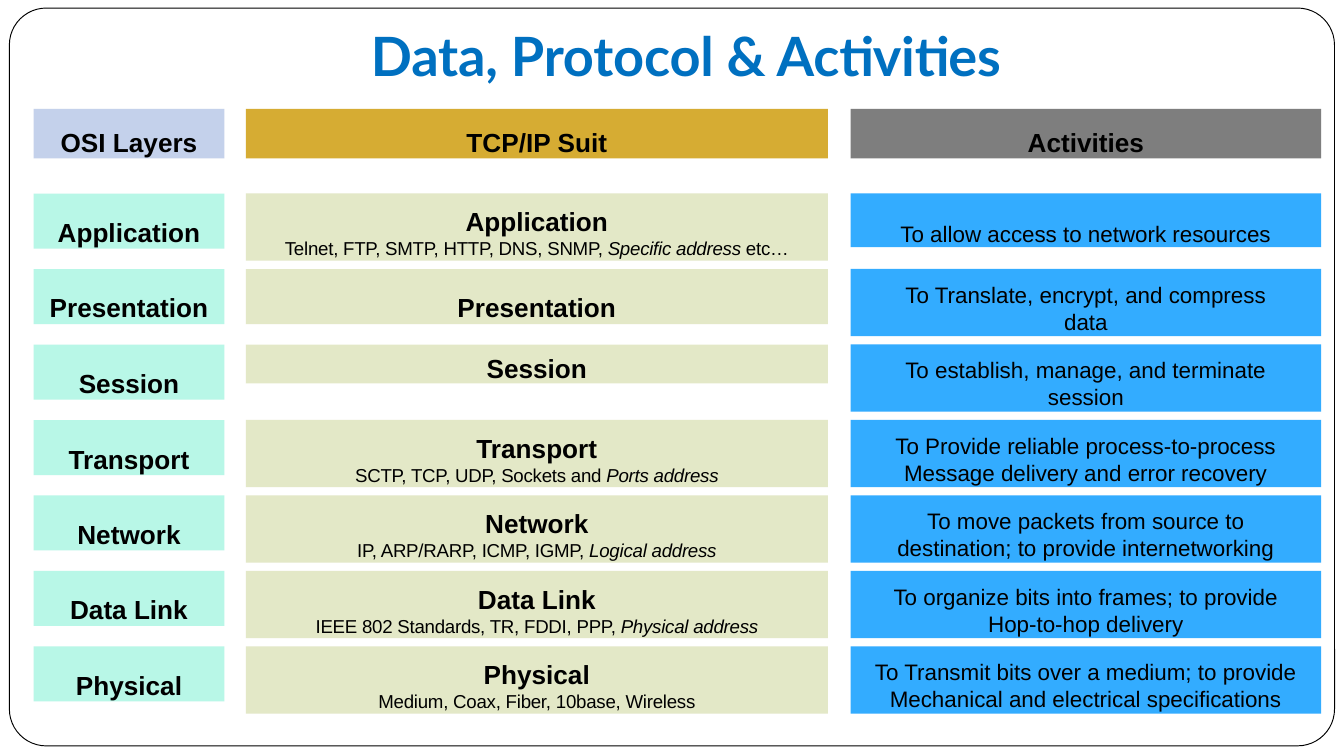
from dataclasses import dataclass

from lxml import etree
from pptx import Presentation
from pptx.dml.color import RGBColor
from pptx.enum.shapes import MSO_SHAPE
from pptx.enum.text import MSO_ANCHOR, MSO_AUTO_SIZE, PP_ALIGN
from pptx.oxml.ns import qn
from pptx.util import Inches, Pt

RECTANGLE = MSO_SHAPE.RECTANGLE
ROUNDED_RECTANGLE = MSO_SHAPE.ROUNDED_RECTANGLE
TOP = MSO_ANCHOR.TOP
BOTTOM = MSO_ANCHOR.BOTTOM
LEFT = PP_ALIGN.LEFT
CENTER = PP_ALIGN.CENTER
NO_AUTOFIT = MSO_AUTO_SIZE.NONE


@dataclass(frozen=True)
class Theme:
    title: str = "0070C0"
    text: str = "000000"
    osi_header: str = "B6C6E6"
    suite_header: str = "CC9800"
    activity_header: str = "5E5E5E"
    osi: str = "A7F5E2"
    suite: str = "DDE3B9"
    activity: str = "0098FF"
    opacity: int = 80
    title_font: str = "Lato"
    body_font: str = "Arial"
    title_size: float = 29
    name_size: float = 14
    activity_size: float = 12
    detail_size: float = 10


theme = Theme()


def add_box(column, top, height, color, inset_top, side_inset=0):
    left, width = column
    shape = slide.shapes.add_shape(
        RECTANGLE, Inches(left), Inches(top), Inches(width), Inches(height)
    )
    shape.shadow.inherit = False
    shape.line.fill.background()
    shape.fill.solid()
    shape.fill.fore_color.rgb = RGBColor.from_string(color)
    color_element = shape.fill._xPr.find(f".//{qn('a:srgbClr')}")
    etree.SubElement(color_element, qn("a:alpha")).set("val", str(theme.opacity * 1000))
    text_frame = shape.text_frame
    text_frame.word_wrap = True
    text_frame.vertical_anchor = TOP
    text_frame.margin_top = Inches(inset_top)
    text_frame.margin_bottom = 0
    text_frame.margin_left = text_frame.margin_right = Inches(side_inset)
    return text_frame


def write_runs(paragraph, texts, size, bold=False, spacing=0):
    paragraph.alignment = CENTER
    for index, text in enumerate(texts):
        run = paragraph.add_run()
        run.text = text
        run.font.name = theme.body_font
        run.font.size = Pt(size)
        run.font.bold = bold
        run.font.italic = index == 1
        run.font.color.rgb = RGBColor.from_string(theme.text)
        run.font._element.set("spc", str(spacing))


presentation = Presentation()
presentation.slide_width = Inches(10)
presentation.slide_height = presentation.slide_width * 9 // 16
slide = presentation.slides.add_slide(presentation.slide_layouts[5])

frame = slide.shapes.add_shape(
    ROUNDED_RECTANGLE, Inches(0.07), Inches(0.06), Inches(9.86), Inches(5.49)
)
frame.adjustments[0] = 0.05
frame.shadow.inherit = False
frame.fill.background()
frame.line.color.rgb = RGBColor.from_string(theme.text)
frame.line.width = Pt(0.5)

title = slide.shapes.title
title.left, title.top = Inches(2.75), Inches(0.15)
title.width, title.height = Inches(5.25), Inches(0.5)
title_frame = title.text_frame
title_frame.text = "Data, Protocol & Activities"
title_frame.auto_size = NO_AUTOFIT
title_frame.vertical_anchor = BOTTOM
title_frame.margin_left = title_frame.margin_top = Inches(0.01)
title_frame.margin_right = title_frame.margin_bottom = 0
title_paragraph = title_frame.paragraphs[0]
title_paragraph.alignment = LEFT
title_run = title_paragraph.runs[0]
title_run.font.name = theme.title_font
title_run.font.size = Pt(theme.title_size)
title_run.font.bold = True
title_run.font.color.rgb = RGBColor.from_string(theme.title)
title_run.font._element.set("spc", "-10")

osi_column = (0.25, 1.42)
suite_column = (1.83, 4.33)
activity_column = (6.33, 3.5)

headers = [
    (osi_column, "OSI Layers", theme.osi_header),
    (suite_column, "TCP/IP Suit", theme.suite_header),
    (activity_column, "Activities", theme.activity_header),
]
for column, label, color in headers:
    text_frame = add_box(column, 0.81, 0.37, color, 0.13)
    write_runs(text_frame.paragraphs[0], [label], theme.name_size, bold=True)

single_line = (0.41, 0.17)
slim_line = (0.29, 0.06)
two_lines = (0.5, 0.09)
activity_line = (0.4, 0.2)

layers = [
    ("Application", two_lines,
     ["Telnet, FTP, SMTP, HTTP, DNS, SNMP, ", "Specific address", " etc…"],
     "To allow access to network resources", activity_line, 0.17),
    ("Presentation", single_line, [],
     "To Translate, encrypt, and compress data", two_lines, 0.3),
    ("Session", slim_line, [],
     "To establish, manage, and terminate session", two_lines, 0.17),
    ("Transport", two_lines,
     ["SCTP, TCP, UDP, Sockets and ", "Ports address"],
     "To Provide reliable process-to-process Message delivery and error recovery",
     two_lines, 0.17),
    ("Network", two_lines,
     ["IP, ARP/RARP, ICMP, IGMP, ", "Logical address"],
     "To move packets from source to destination; to provide internetworking",
     two_lines, 0.17),
    ("Data Link", two_lines,
     ["IEEE 802 Standards, TR, FDDI, PPP, ", "Physical address"],
     "To organize bits into frames; to provide Hop-to-hop delivery", two_lines, 0.17),
    ("Physical", two_lines,
     ["Medium, Coax, Fiber, 10base, Wireless"],
     "To Transmit bits over a medium; to provide Mechanical and electrical specifications",
     two_lines, 0.17),
]
first_top, last_top = 1.44, 4.81
row_pitch = (last_top - first_top) / (len(layers) - 1)

for row, (name, suite_box, protocols, activity, activity_box, side_inset) in enumerate(layers):
    top = first_top + row * row_pitch

    for column, (height, inset), color, details in (
        (osi_column, single_line, theme.osi, []),
        (suite_column, suite_box, theme.suite, protocols),
    ):
        text_frame = add_box(column, top, height, color, inset)
        write_runs(text_frame.paragraphs[0], [name], theme.name_size, bold=True)
        if details:
            write_runs(text_frame.add_paragraph(), details, theme.detail_size, spacing=-10)

    height, inset = activity_box
    text_frame = add_box(activity_column, top, height, theme.activity, inset, side_inset)
    write_runs(text_frame.paragraphs[0], [activity], theme.activity_size)

presentation.save("out.pptx")
